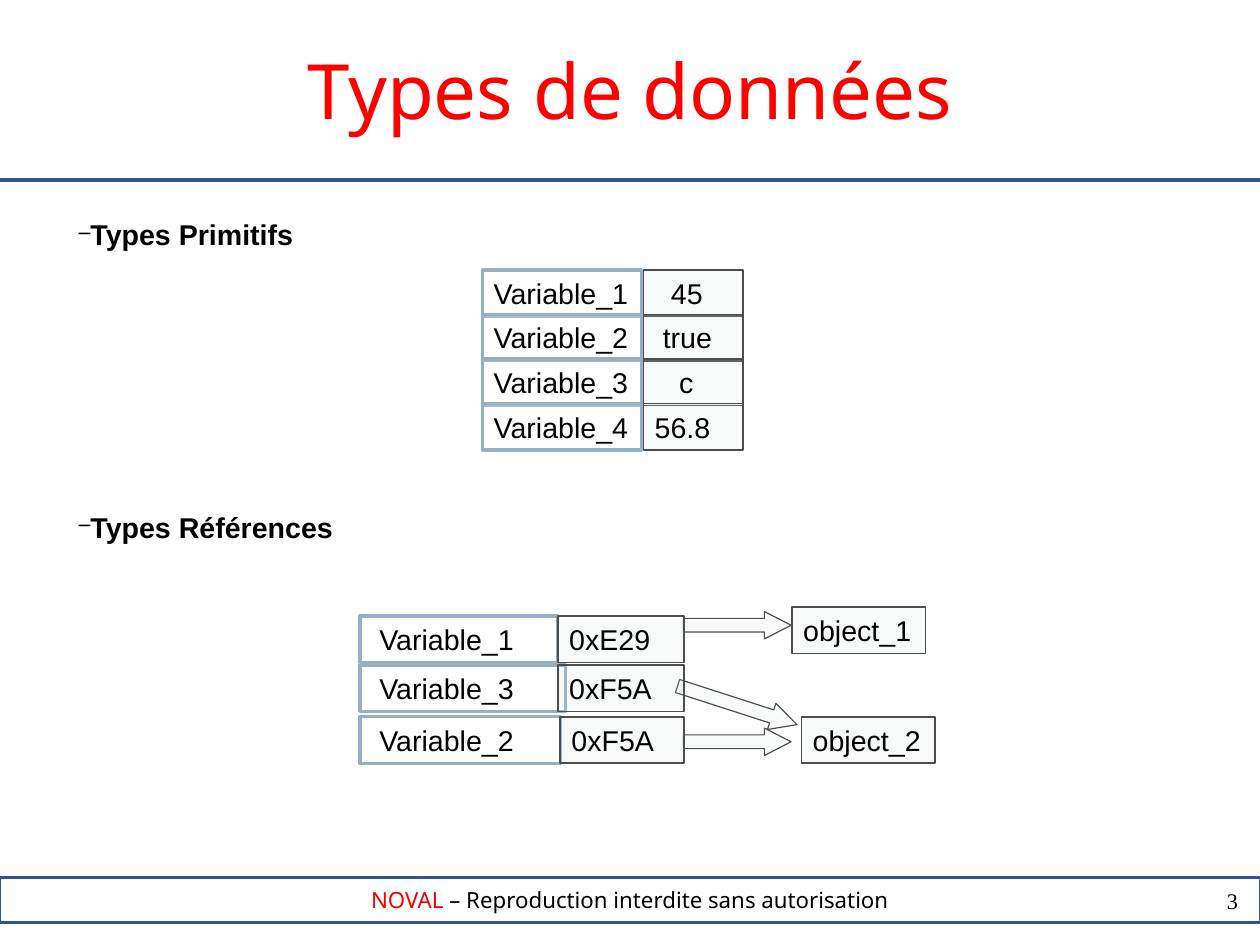
from dataclasses import dataclass

from lxml.etree import SubElement
from pptx import Presentation
from pptx.dml.color import RGBColor
from pptx.enum.shapes import MSO_CONNECTOR as Connector
from pptx.enum.shapes import MSO_SHAPE as Preset
from pptx.enum.text import MSO_ANCHOR as Anchor
from pptx.enum.text import PP_ALIGN as Align
from pptx.oxml.ns import qn
from pptx.shapes.autoshape import Shape
from pptx.util import Cm, Pt

BLACK = RGBColor(0x00, 0x00, 0x00)
WHITE = RGBColor(0xFF, 0xFF, 0xFF)
RED = RGBColor(0xFF, 0x00, 0x00)
BRAND_RED = RGBColor(0xF2, 0x00, 0x00)
NAVY = RGBColor(0x32, 0x54, 0x91)
STEEL = RGBColor(0x95, 0xB0, 0xC6)
SILVER = RGBColor(0xD3, 0xD7, 0xDB)
GRAPHITE = RGBColor(0x4D, 0x4D, 0x4D)

PAGE_WIDTH, PAGE_HEIGHT = 28, 21
BOX_HEIGHT = 1.03
INSET_X, INSET_Y = 0.25, 0.13
SPACE = 0.18
OPACITY = 15000


@dataclass(frozen=True)
class Style:
    fill: RGBColor
    line: RGBColor
    weight: float


@dataclass(frozen=True)
class Span:
    text: str
    size: float = 18
    font: str = "Arial"
    color: RGBColor = BLACK
    bold: bool = False


@dataclass(frozen=True)
class Cell:
    text: str
    left: float
    top: float
    width: float
    style: Style
    shift: float = 0
    wrap: bool = True


@dataclass(frozen=True)
class Arrow:
    left: float
    top: float
    width: float
    rotation: float = 0


NAME = Style(WHITE, STEEL, 2)
VALUE = Style(SILVER, GRAPHITE, 1)
LINK = Style(SILVER, GRAPHITE, 0.75)

deck = Presentation()
deck.slide_width, deck.slide_height = Cm(PAGE_WIDTH), Cm(PAGE_HEIGHT)
page = deck.slides.add_slide(deck.slide_layouts[6])


def write(box: Shape, spans: list[Span], align: Align = Align.LEFT,
          inset_x: float = INSET_X, inset_y: float = INSET_Y,
          shift: float = 0, wrap: bool = True) -> None:
    frame = box.text_frame
    frame.word_wrap = wrap
    frame.margin_left = Cm(inset_x + shift)
    frame.margin_right = Cm(inset_x)
    frame.margin_top = frame.margin_bottom = Cm(inset_y)
    frame.vertical_anchor = Anchor.TOP
    para = frame.paragraphs[0]
    para.alignment = align
    for span in spans:
        run = para.add_run()
        run.text = span.text
        run.font.size = Pt(span.size)
        run.font.name = span.font
        run.font.bold = span.bold
        run.font.color.rgb = span.color


def add_text(left: float, top: float, width: float, height: float) -> Shape:
    return page.shapes.add_textbox(Cm(left), Cm(top), Cm(width), Cm(height))


def add_translucent(preset: Preset, left: float, top: float, width: float,
                    height: float, style: Style) -> Shape:
    shape = page.shapes.add_shape(preset, Cm(left), Cm(top), Cm(width), Cm(height))
    shape.shadow.inherit = False
    shape.fill.solid()
    shape.fill.fore_color.rgb = style.fill
    color = shape.element.spPr.find(qn("a:solidFill")).find(qn("a:srgbClr"))
    SubElement(color, qn("a:alpha")).set("val", str(OPACITY))
    shape.line.color.rgb = style.line
    shape.line.width = Pt(style.weight)
    return shape


def add_cell(cell: Cell) -> None:
    box = add_translucent(Preset.RECTANGLE, cell.left, cell.top, cell.width,
                          BOX_HEIGHT, cell.style)
    write(box, [Span(cell.text)], shift=cell.shift, wrap=cell.wrap)


def add_arrow(arrow: Arrow) -> None:
    shape = add_translucent(Preset.RIGHT_ARROW, arrow.left, arrow.top,
                            arrow.width, 0.61, LINK)
    shape.adjustments[0] = 0.5
    shape.adjustments[1] = 0.97
    shape.rotation = arrow.rotation


def add_heading(text: str, top: float) -> None:
    box = add_text(1.5, top, 25, 1)
    write(box, [Span(text, bold=True)])
    properties = box.text_frame.paragraphs[0].element.get_or_add_pPr() \
        if hasattr(box.text_frame.paragraphs[0], "element") \
        else box.element.txBody.find(qn("a:p")).get_or_add_pPr()
    properties.set("marL", "0")
    properties.set("indent", "0")
    SubElement(properties, qn("a:buSzPct")).set("val", "75000")
    SubElement(properties, qn("a:buChar")).set("char", "–")


footer = page.shapes.add_shape(Preset.RECTANGLE, 0, Cm(19.5), Cm(PAGE_WIDTH), Cm(1))
footer.shadow.inherit = False
footer.fill.background()
footer.line.color.rgb = NAVY
footer.line.width = Pt(1.42)
write(footer, [Span("NOVAL", 14, "Noto Sans", BRAND_RED),
               Span(" – Reproduction interdite sans autorisation", 14, "Noto Sans")],
      Align.CENTER, 0.03, 0.03)
footer.text_frame.vertical_anchor = Anchor.MIDDLE

rule = page.shapes.add_connector(Connector.STRAIGHT, 0, Cm(4), Cm(PAGE_WIDTH), Cm(4))
rule.line.color.rgb = NAVY
rule.line.width = Pt(2.83)
SubElement(rule.element.spPr, qn("a:effectLst"))

write(add_text(20.98, 19.71, 6.53, 1.07), [Span("3", 14, "Times New Roman")],
      Align.RIGHT, 0, 0)
write(add_text(1.5, 0.84, 25, 2.21),
      [Span("Types de données", 48, "Noto Sans", RED)], Align.CENTER)

add_heading("Types Primitifs", 4.7)
add_heading("Types Références", 11.2)

primitives = [("45", 2), ("true", 1), ("c", 3), ("56.8", 0)]
for index, (value, spaces) in enumerate(primitives):
    row_top = 6 + 0.99 * index
    add_cell(Cell(f"Variable_{index + 1}", 10.72, row_top, 3.53, NAME, wrap=False))
    add_cell(Cell(value, 14.3, row_top, 2.21, VALUE, SPACE * spaces))

for arrow in (Arrow(15.19, 16.18, 2.39), Arrow(14.99, 15.37, 2.79, 17.9),
              Arrow(15.19, 13.59, 2.39)):
    add_arrow(arrow)

ADDRESS_RIGHT = 15.2
references = [("Variable_1", "0xE29", 13.69, 4.39, 12.4),
              ("Variable_3", "0xF5A", 14.78, 4.57, 12.4),
              ("Variable_2", "0xF5A", 15.93, 4.45, 12.45)]
for name, address, row_top, name_width, address_left in references:
    add_cell(Cell(name, 8, row_top, name_width, NAME, SPACE))
    add_cell(Cell(address, address_left, row_top, ADDRESS_RIGHT - address_left, VALUE))

add_cell(Cell("object_1", 17.6, 13.49, 2.97, VALUE))
add_cell(Cell("object_2", 17.81, 15.93, 2.97, VALUE))

deck.save("out.pptx")
